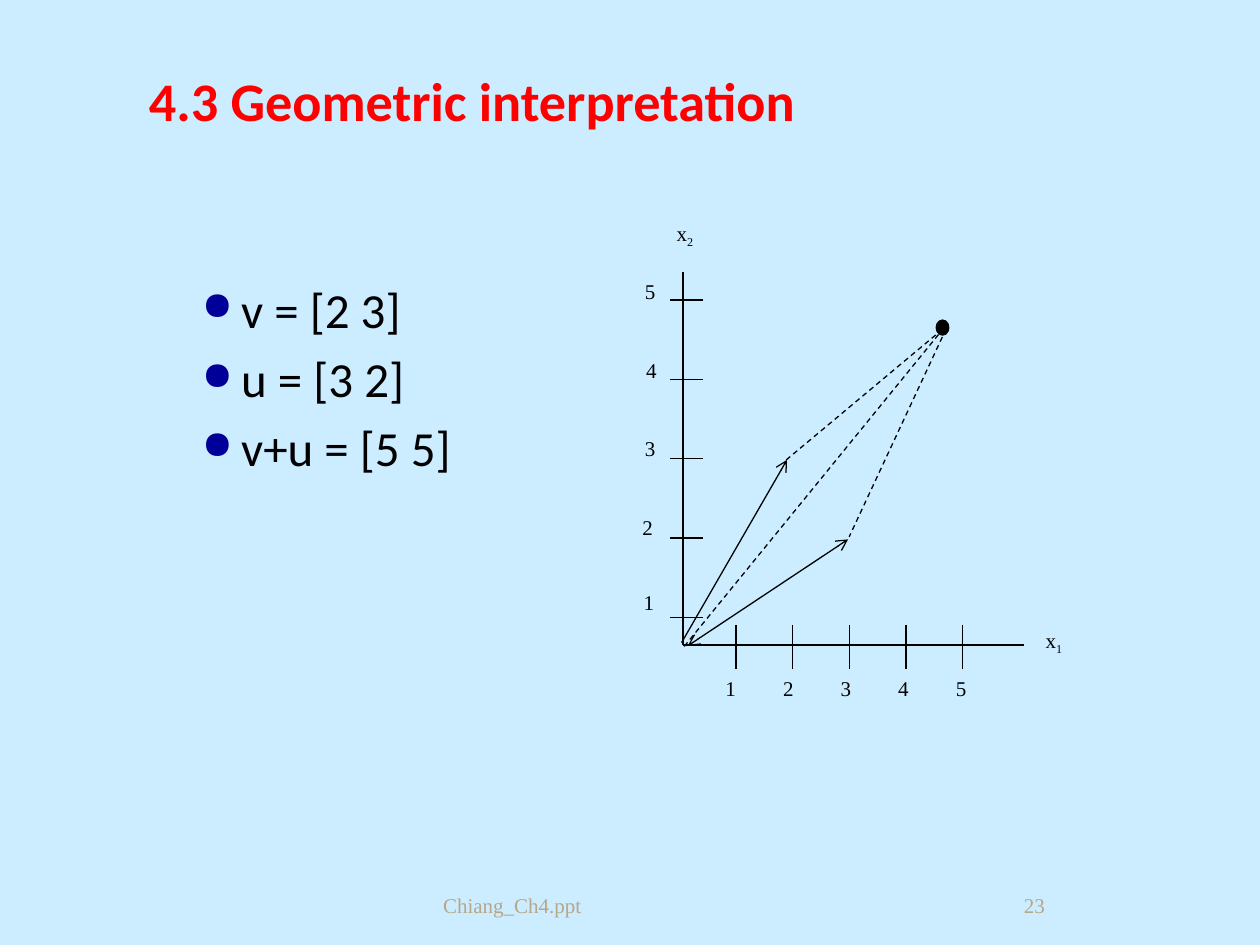
"""Build a slide on the geometric interpretation of vector addition."""
from lxml import etree
from pptx import Presentation
from pptx.dml.color import RGBColor
from pptx.enum import dml, shapes, text
from pptx.oxml import ns
from pptx.util import Pt

SERIF = "Times New Roman"
rgb = RGBColor.from_string

prs = Presentation()
prs.slide_width, prs.slide_height = Pt(720), Pt(540)
s = prs.slides.add_slide(prs.slide_layouts[6])
s.background.fill.solid()
s.background.fill.fore_color.rgb = rgb("CCECFF")


def add_text(box, lines, size=12, font=SERIF, color="000000", anchor="TOP"):
    sp = s.shapes.add_textbox(*map(Pt, box))
    tf = sp.text_frame
    tf.word_wrap = True
    tf.vertical_anchor = text.MSO_ANCHOR[anchor]
    tf.text = lines
    for p in tf.paragraphs:
        for r in p.runs:
            r.font.size, r.font.name = Pt(size), font
            r.font.color.rgb = rgb(color)
    return tf


def style_line(sp, dashed=False, ends=()):
    sp.line.color.rgb = rgb("000000")
    sp.line.width = Pt(0.75)
    if dashed:
        sp.line.dash_style = dml.MSO_LINE.DASH
    for end in ends:
        etree.SubElement(sp.line._ln, ns.qn(f"a:{end}"), type="arrow")
    etree.SubElement(sp._element.spPr, ns.qn("a:effectLst"))


title = add_text((78, 18, 564, 78), "4.3 Geometric interpretation", 31, "Calibri", "FF0000", "MIDDLE")
title.paragraphs[0].runs[0].font.bold = True

body = add_text((102, 156, 210, 132), "v = [2 3]\nu = [3 2]\nv+u = [5 5]", 28, "Calibri")
for p in body.paragraphs:
    p.space_before = Pt(6)
    pPr = p._p.get_or_add_pPr()
    pPr.set("marL", str(Pt(28.8)))
    pPr.set("indent", str(Pt(-22.5)))
    color = etree.SubElement(pPr, ns.qn("a:buClr"))
    etree.SubElement(color, ns.qn("a:srgbClr"), val="000099")
    etree.SubElement(pPr, ns.qn("a:buSzPct"), val="80000")
    etree.SubElement(pPr, ns.qn("a:buChar"), char="●")

for box, index in [((590.4, 355, 33, 37.5), "1"), ((379.5, 122.4, 36.7, 34.5), "2")]:
    p = add_text(box, "x").paragraphs[0]
    r = p.add_run()
    r.text = index
    r.font.size, r.font.name = Pt(12), SERIF
    r.font.color.rgb = rgb("000000")
    r.font._element.set("baseline", "-25000")

axes = [(390.25, 155.5, 390.25, 368.6), (390.25, 368.6, 585.4, 368.6)]
y_ticks = [(383, 171.4 + 45.36 * i, 401.8, 171.4 + 45.36 * i) for i in range(5)]
x_ticks = [(420.5 + 32.4 * i, 357.1, 420.5 + 32.4 * i, 382.3) for i in range(5)]
diagonals = [(391, 369.4, 540.7, 185.8), (449.3, 262.8, 536.4, 190)]
for ends in axes + y_ticks + x_ticks + diagonals:
    sp = s.shapes.add_connector(shapes.MSO_CONNECTOR.STRAIGHT, *map(Pt, ends))
    style_line(sp, dashed=ends in diagonals)

vectors = [
    ((389.5, 367.2), (449.7, 262.8), False, ["tailEnd"]),
    ((393.1, 369), (484.6, 308.2), False, ["headEnd", "tailEnd"]),
    ((540.7, 187.9), (485.3, 306.7), True, []),
]
for start, end, dashed, ends in vectors:
    builder = s.shapes.build_freeform(*map(Pt, start))
    builder.add_line_segments([tuple(map(Pt, end))], close=False)
    sp = builder.convert_to_shape()
    sp.fill.background()
    style_line(sp, dashed, ends)

dot = s.shapes.add_shape(shapes.MSO_SHAPE.OVAL, Pt(535), Pt(182.9), Pt(7.2), Pt(8.6))
dot.fill.solid()
dot.fill.fore_color.rgb = rgb("000000")
style_line(dot)

y_labels = [(361.4, 155.5, 26), (362.2, 200.9, 19.5), (361.4, 245.5, 23.8),
            (360, 290.2, 19.5), (360.7, 333.4, 22.3)]
for number, (left, top, width) in zip("54321", y_labels):
    add_text((left, top, width, 24), number)

p = add_text((407.5, 382.3, 180, 34.5), "1\t2\t3\t4\t5").paragraphs[0]
tabs = etree.SubElement(p._p.get_or_add_pPr(), ns.qn("a:tabLst"))
for i in range(1, 5):
    etree.SubElement(tabs, ns.qn("a:tab"), pos=str(Pt(32.9 * i)), algn="l")

add_text((246.2, 492, 228.2, 36), "Chiang_Ch4.ppt", color="B5A788", anchor="BOTTOM")
number = add_text((516.2, 492, 149.8, 36), "23", color="B5A788", anchor="BOTTOM")
number.paragraphs[0].alignment = text.PP_ALIGN.CENTER

prs.save("out.pptx")
